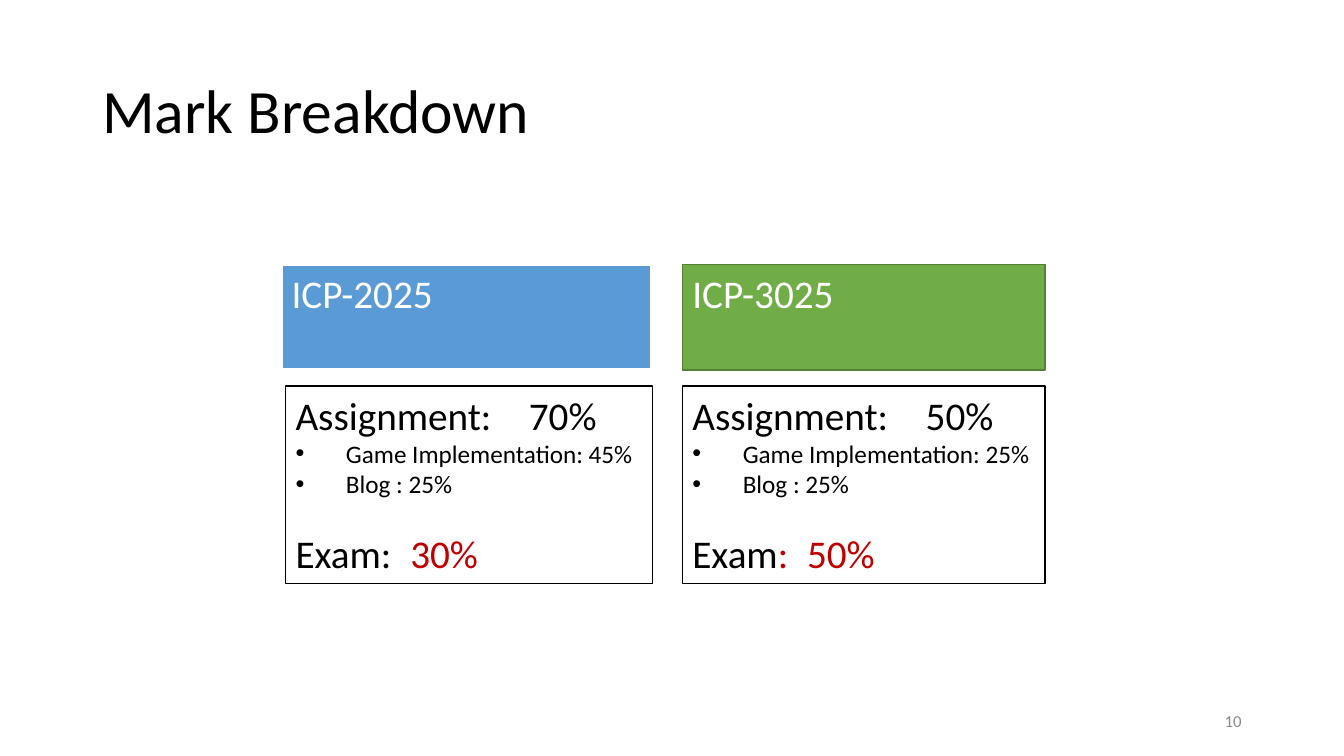
from dataclasses import dataclass

from lxml.etree import SubElement
from pptx import Presentation
from pptx.dml.color import RGBColor
from pptx.enum.shapes import MSO_SHAPE as Shape
from pptx.enum.text import MSO_ANCHOR as Anchor, PP_ALIGN as Align
from pptx.oxml.ns import qn
from pptx.util import Cm, Pt


@dataclass(frozen=True)
class Theme:
    font: str = "Calibri"
    title: int = 44
    heading: int = 28
    detail: int = 18
    number: int = 12
    black: str = "000000"
    white: str = "FFFFFF"
    blue: str = "5B9BD5"
    green: str = "70AD47"
    dark_green: str = "538035"
    red: str = "C00000"
    grey: str = "8C8C8C"


theme = Theme()


def add_run(paragraph, text, size, color):
    run = paragraph.add_run()
    run.text = text
    font_format = {"name": theme.font, "size": Pt(size)}
    for name, value in font_format.items():
        setattr(run.font, name, value)
    run.font.color.rgb = RGBColor.from_string(color)


def add_box(left, top, width, height, fill, line, line_width):
    shape = slide.shapes.add_shape(
        Shape.RECTANGLE, Cm(left), Cm(top), Cm(width), Cm(height))
    shape.shadow.inherit = False
    shape.fill.solid()
    shape.fill.fore_color.rgb = RGBColor.from_string(fill)
    shape.line.color.rgb = RGBColor.from_string(line)
    shape.line.width = Pt(line_width)
    frame = shape.text_frame
    frame_format = {"word_wrap": True, "vertical_anchor": Anchor.TOP}
    for name, value in frame_format.items():
        setattr(frame, name, value)
    frame.paragraphs[0].alignment = Align.LEFT
    return frame


presentation = Presentation()
presentation.slide_width = Cm(33.87)
presentation.slide_height = Cm(19.05)
slide = presentation.slides.add_slide(presentation.slide_layouts[6])

# Title and slide number
labels = [
    ("Mark Breakdown", (2.33, 1.01, 29.21, 3.68), theme.title, theme.black,
     {"alignment": Align.LEFT, "line_spacing": 0.9}),
    ("10", (23.92, 17.66, 7.62, 1.01), theme.number, theme.grey,
     {"alignment": Align.RIGHT}),
]
for text, place, size, color, paragraph_format in labels:
    frame = slide.shapes.add_textbox(*[Cm(length) for length in place]).text_frame
    frame.word_wrap = True
    frame.vertical_anchor = Anchor.MIDDLE
    paragraph = frame.paragraphs[0]
    for name, value in paragraph_format.items():
        setattr(paragraph, name, value)
    add_run(paragraph, text, size, color)

# One column per module: heading box above, mark details below
modules = [
    {"code": "ICP-2025", "heading": (7.1, 6.67, 9.32, 2.62),
     "style": (theme.blue, theme.white, 1.5),
     "details": (7.2, 9.73, 9.25, 4.98),
     "assignment": "70%", "game": "45%", "exam": ("Exam:", "\t30%")},
    {"code": "ICP-3025", "heading": (17.2, 6.67, 9.14, 2.66),
     "style": (theme.green, theme.dark_green, 1),
     "details": (17.2, 9.73, 9.14, 4.98),
     "assignment": "50%", "game": "25%", "exam": ("Exam", ":\t50%")},
]
for module in modules:
    frame = add_box(*module["heading"], *module["style"])
    add_run(frame.paragraphs[0], module["code"], theme.heading, theme.white)

    frame = add_box(*module["details"], theme.white, theme.black, 1)
    exam_label, exam_mark = module["exam"]
    # Runs, type size, tab stop (None marks a bullet), space before
    rows = [
        ([(f"Assignment:\t{module['assignment']}", theme.black)], theme.heading, 5.88, 0),
        ([(f"Game Implementation: {module['game']}", theme.black)], theme.detail, None, 0),
        ([("Blog : 25%", theme.black)], theme.detail, None, 0),
        ([(exam_label, theme.black), (exam_mark, theme.red)], theme.heading, 2.89, 22),
    ]
    for index, (runs, size, tab_stop, space_before) in enumerate(rows):
        paragraph = frame.add_paragraph() if index else frame.paragraphs[0]
        paragraph.alignment = Align.LEFT
        if space_before:
            paragraph.space_before = Pt(space_before)
        properties = paragraph._p.get_or_add_pPr()
        if tab_stop is None:
            properties.set("marL", str(Cm(1.27)))
            properties.set("indent", str(Cm(-1.27)))
            SubElement(properties, qn("a:buFont"), typeface="Arial")
            SubElement(properties, qn("a:buChar"), char="•")
        else:
            tabs = SubElement(properties, qn("a:tabLst"))
            SubElement(tabs, qn("a:tab"), pos=str(Cm(tab_stop)), algn="l")
        for text, color in runs:
            add_run(paragraph, text, size, color)

presentation.save("out.pptx")
